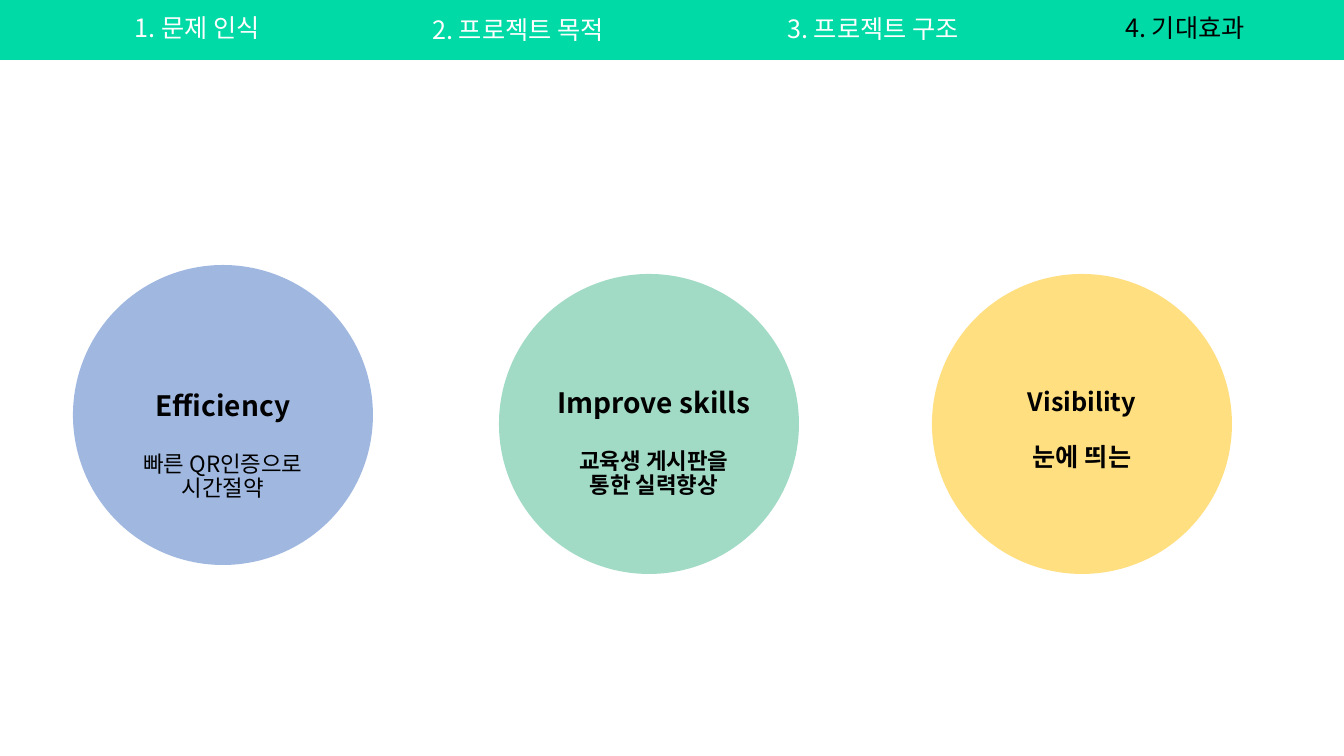
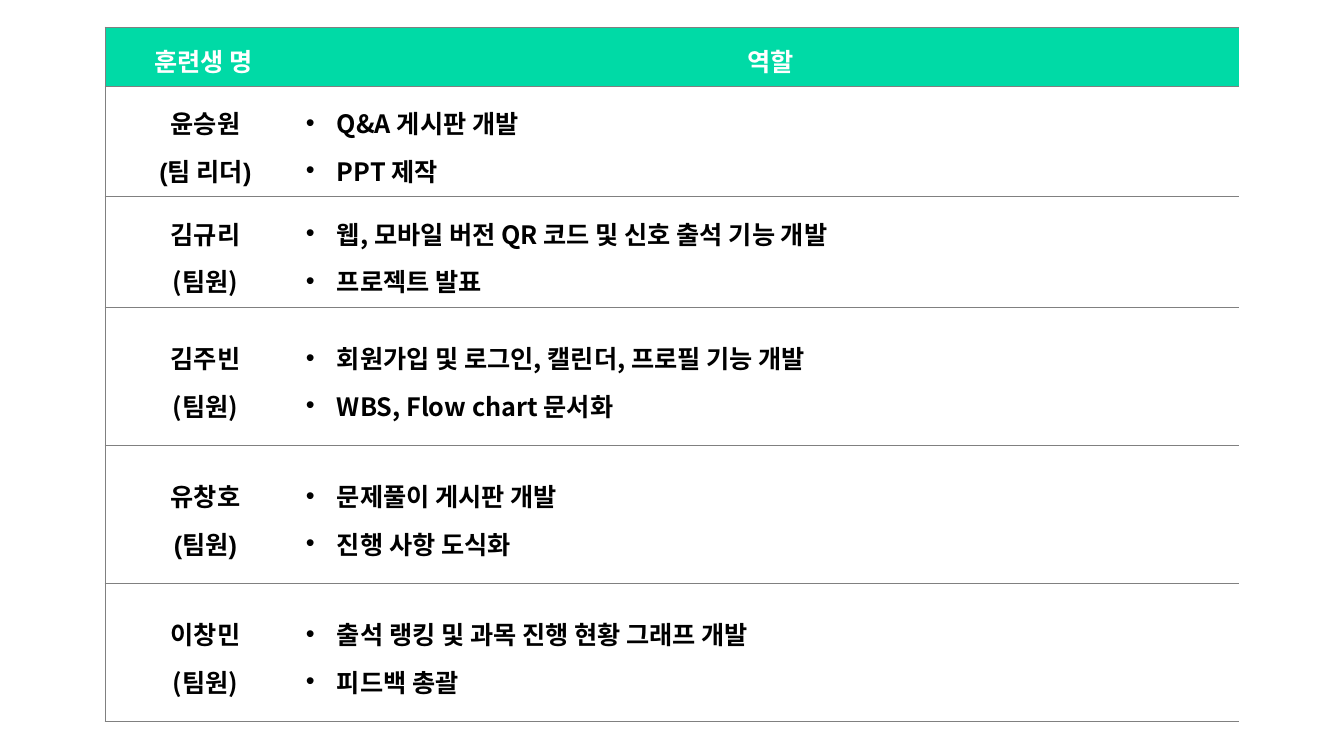
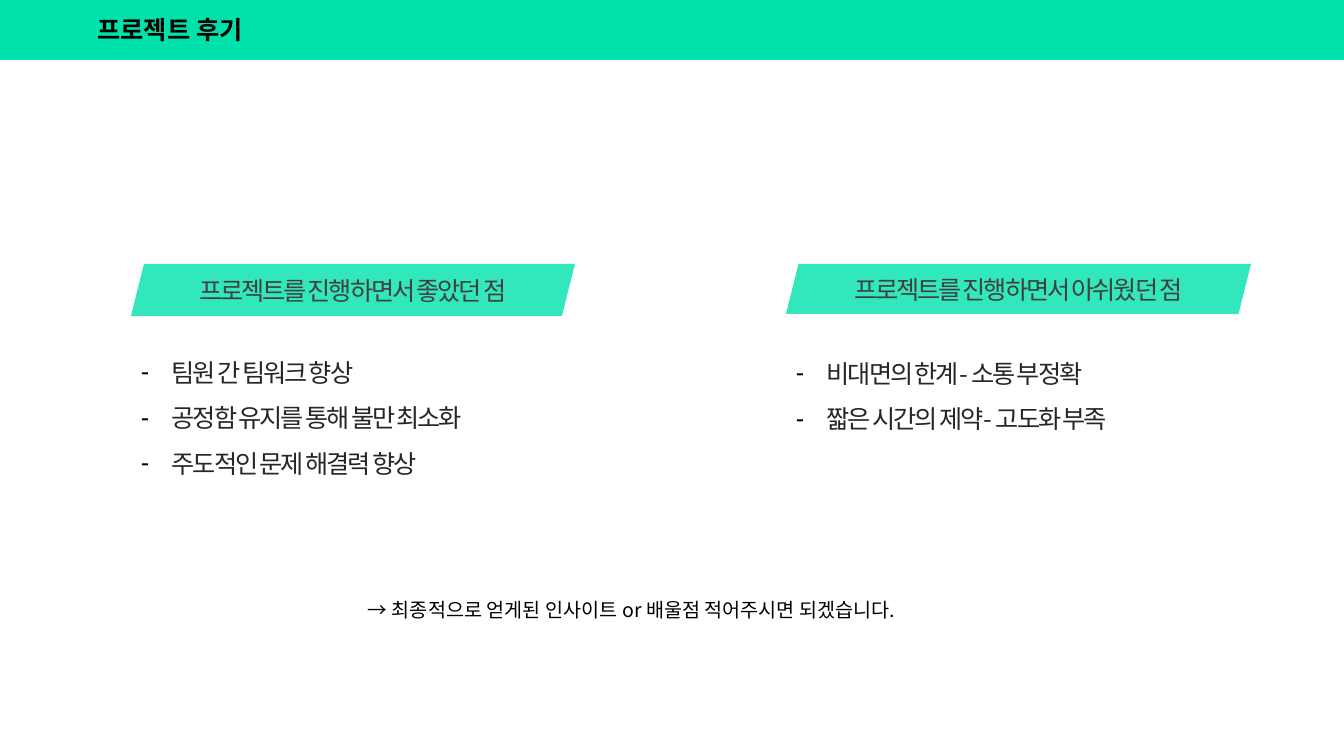
from copy import deepcopy
from dataclasses import dataclass

from lxml import etree
from pptx import Presentation
from pptx import util as u
from pptx.dml.color import RGBColor
from pptx.enum import shapes, text
from pptx.oxml.ns import qn


@dataclass(frozen=True)
class Theme:
    font: str = "Noto Sans CJK KR"
    latin: str = "Arial"
    band: str = "00DAA6"
    review: str = "00E2AC"
    blue: str = "4372C3"
    green: str = "44B78C"
    yellow: str = "FFC000"
    black: str = "000000"
    white: str = "FFFFFF"
    body: str = "262626"
    label: str = "404040"
    rule: str = "808080"
    large: int = 20
    normal: int = 18
    small: int = 16
    note: int = 14


T = Theme()
PX = u.Inches(1) / 100.8
CENTER = text.PP_ALIGN.CENTER
MIDDLE = text.MSO_ANCHOR.MIDDLE


def box(s, x, y, w, h, kind=None, fill=None, alpha=100):
    at = [int(v * PX) for v in (x, y, w, h)]
    if kind is None:
        sp = s.shapes.add_textbox(*at)
        sp.text_frame.word_wrap = True
        return sp
    sp = s.shapes.add_shape(kind, *at)
    sp.shadow.inherit = False
    sp.line.fill.background()
    sp.fill.solid()
    sp.fill.fore_color.rgb = RGBColor.from_string(fill)
    if alpha < 100:
        clr = sp.fill._xPr.find(".//" + qn("a:srgbClr"))
        etree.SubElement(clr, qn("a:alpha")).set("val", str(alpha * 1000))
    return sp


def write(tf, lines, size=T.normal, color=T.black, bold=False, align=None,
          spacing=None, tracking=0, bullet=None, font=T.font):
    tf.text = "\n".join(lines)
    for p in tf.paragraphs:
        if bullet:
            pPr = p._p.get_or_add_pPr()
            pPr.set("marL", str(int(31 * PX)))
            pPr.set("indent", str(int(-31 * PX)))
            clr = etree.SubElement(pPr, qn("a:buClr"))
            etree.SubElement(clr, qn("a:srgbClr")).set("val", T.black)
            etree.SubElement(pPr, qn("a:buFont")).set("typeface", T.latin)
            etree.SubElement(pPr, qn("a:buChar")).set("char", bullet)
        p.alignment = align
        p.line_spacing = spacing
        for r in p.runs:
            r.font.size = u.Pt(size)
            r.font.bold = bold
            r.font.name = font
            r.font.color.rgb = RGBColor.from_string(color)
            rPr = r.font._rPr
            etree.SubElement(rPr, qn("a:ea")).set("typeface", T.font)
            if tracking:
                rPr.set("spc", str(int(tracking * 100)))
        for br in p._p.findall(qn("a:br")):
            br.insert(0, deepcopy(p.runs[0].font._rPr))


prs = Presentation()
prs.slide_width = int(1344 * PX)
prs.slide_height = int(756 * PX)
effects, team, review = [prs.slides.add_slide(prs.slide_layouts[6]) for _ in range(3)]

for s, fill in ((effects, T.band), (review, T.review)):
    box(s, 0, 0, 1344, 60, shapes.MSO_SHAPE.RECTANGLE, fill)

nav = [
    (197, 7, "1. 문제 인식", T.white),
    (518, 9, "2. 프로젝트 목적", T.white),
    (873, 8, "3. 프로젝트 구조", T.white),
    (1185, 7, "4. 기대효과", T.black),
]
for cx, y, label, color in nav:
    write(box(effects, cx - 110, y, 220, 40).text_frame, [label], color=color, align=CENTER)

circles = [
    (73, 265, T.blue, 117, 385, "Efficiency", T.large, "빠른 QR인증으로\v시간절약", T.small, False),
    (499, 274, T.green, 548, 382, "Improve skills", T.large, "교육생 게시판을\v통한 실력향상", T.small, True),
    (932, 274, T.yellow, 976, 383, "Visibility", T.normal, "눈에 띄는", T.normal, True),
]
for x, y, fill, tx, ty, title, title_size, detail, size, bold in circles:
    box(effects, x, y, 300, 300, shapes.MSO_SHAPE.OVAL, fill, 50)
    tf = box(effects, tx, ty, 212, 130).text_frame
    tf.margin_left = tf.margin_right = 0
    tf.margin_top = int(7 * PX)
    write(tf, [title, detail], size=size, bold=bold, align=CENTER, spacing=0.9)
    head, sub = tf.paragraphs
    head.runs[0].font.size = u.Pt(title_size)
    head.runs[0].font.bold = True
    sub.space_before = u.Pt(title_size + 2)

members = [
    ("윤승원", "(팀 리더)", T.latin, ["Q&A 게시판 개발", "PPT 제작"]),
    ("김규리", "(팀원)", T.font, ["웹, 모바일 버전 QR 코드 및 신호 출석 기능 개발", "프로젝트 발표"]),
    ("김주빈", "(팀원)", T.font, ["회원가입 및 로그인, 캘린더, 프로필 기능 개발", "WBS, Flow chart 문서화"]),
    ("유창호", "(팀원)", T.latin, ["문제풀이 게시판 개발", "진행 사항 도식화"]),
    ("이창민", "(팀원)", T.font, ["출석 랭킹 및 과목 진행 현황 그래프 개발", "피드백 총괄"]),
]
widths = [197, 937]
heights = [59, 110, 111, 138, 138, 138]
frame = team.shapes.add_table(len(heights), len(widths), int(105 * PX), int(27 * PX),
                              int(sum(widths) * PX), int(sum(heights) * PX))
table = frame.table
table.horz_banding = False
for col, w in zip(table.columns, widths):
    col.width = int(w * PX)
for row, h in zip(table.rows, heights):
    row.height = int(h * PX)

for c, title in enumerate(["훈련생 명", "역할"]):
    write(table.cell(0, c).text_frame, [title], color=T.white, bold=True, align=CENTER, spacing=1.2)
for i, (name, role, font, tasks) in enumerate(members, 1):
    write(table.cell(i, 0).text_frame, [name, role], bold=True, align=CENTER, spacing=1.3, font=font)
    write(table.cell(i, 1).text_frame, tasks, bold=True, spacing=1.3, bullet="•")

for i, row in enumerate(table.rows):
    for c, cell in enumerate(row.cells):
        cell.vertical_anchor = MIDDLE
        cell.margin_left = int(4 * PX) if i else 0
        cell.margin_right = cell.margin_top = cell.margin_bottom = 0
        if i:
            cell.fill.background()
        else:
            cell.fill.solid()
            cell.fill.fore_color.rgb = RGBColor.from_string(T.band)
        tcPr = cell._tc.get_or_add_tcPr()
        for n, side in enumerate("LRTB"):
            ln = etree.Element(qn("a:ln" + side))
            ln.set("w", str(u.Pt(0.5)))
            if side in "TB" or (side == "L" and c == 0):
                fill = etree.SubElement(ln, qn("a:solidFill"))
                etree.SubElement(fill, qn("a:srgbClr")).set("val", T.rule)
            else:
                etree.SubElement(ln, qn("a:noFill"))
            tcPr.insert(n, ln)

write(box(review, 60, 9, 220, 40).text_frame, ["프로젝트 후기"], bold=True, align=CENTER)

columns = [
    (131, 444, 52, 337, "프로젝트를 진행하면서 좋았던 점",
     ["팀원 간 팀워크 향상", "공정함 유지를 통해 불만 최소화", "주도적인 문제 해결력 향상"]),
    (786, 465, 50, 338, "프로젝트를 진행하면서 아쉬웠던 점",
     ["비대면의 한계- 소통 부정확", "짧은 시간의 제약- 고도화 부족"]),
]
for x, w, h, y, title, points in columns:
    tf = box(review, x, 264, w, h, shapes.MSO_SHAPE.PARALLELOGRAM, T.review, 80).text_frame
    tf.vertical_anchor = MIDDLE
    tf.margin_left = tf.margin_right = tf.margin_top = tf.margin_bottom = 0
    write(tf, [title], color=T.label, align=CENTER, tracking=-1.5)
    tf = box(review, x, y, w, 10 + 46 * len(points)).text_frame
    write(tf, points, color=T.body, spacing=1.5, tracking=-1.5, bullet="-")

tf = box(review, 358, 593, 601, 34).text_frame
tf.word_wrap = False
write(tf, ["→ 최종적으로 얻게된 인사이트 or 배울점 적어주시면 되겠습니다."], size=T.note)

prs.save("out.pptx")
